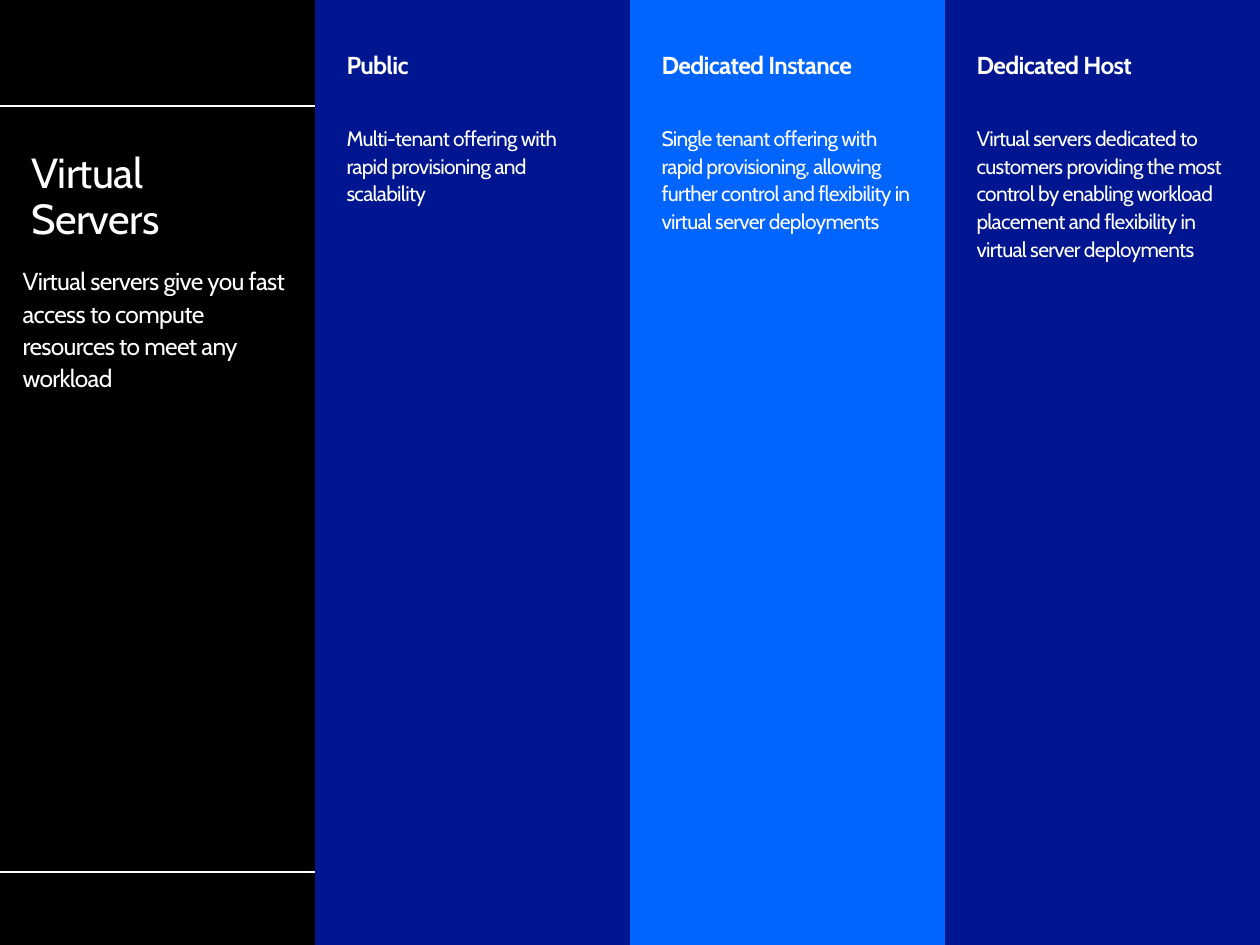
from pptx import Presentation
from pptx.dml.color import RGBColor
from pptx.enum.text import MSO_ANCHOR, MSO_AUTO_SIZE, PP_ALIGN
from pptx.oxml.ns import qn
from pptx.util import Inches, Pt

WHITE, BLACK, NAVY, BLUE = "FFFFFF", "000000", "001690", "0064FF"


def color(hex_string):
    return RGBColor.from_string(hex_string)


def format_paragraph(paragraph, size, line_spacing, bold=False, space_before=0):
    paragraph.alignment = PP_ALIGN.LEFT
    paragraph.line_spacing = line_spacing
    paragraph.space_before = Pt(space_before)
    font = paragraph.font
    font.name, font.size, font.bold = "Cabin", Pt(size), bold
    font.color.rgb = color(WHITE)
    # No bullet or indent, slightly tightened letters
    properties = paragraph._p.get_or_add_pPr()
    properties.set("marL", "0")
    properties.set("indent", "0")
    bullet = properties.makeelement(qn("a:buNone"), {})
    properties.find(qn("a:defRPr")).addprevious(bullet)
    for run in paragraph.runs:
        run._r.get_or_add_rPr().set("spc", "-40")


presentation = Presentation()
presentation.slide_width = Inches(10)
presentation.slide_height = Inches(7.5)

# The Comparison layout has a title and four body placeholders
slide = presentation.slides.add_slide(presentation.slide_layouts[4])
slide.background.fill.solid()
slide.background.fill.fore_color.rgb = color(BLACK)
title, intro, *columns = slide.placeholders

# Place every text area and set its margins
column_width = 2.5
margins = (0.25, 0.42, 0.25, 0.25)
areas = [
    (title, (0.15, 1.16, 4.5, 0.42), (0.1, 0.05, 0.1, 0.05)),
    (intro, (-0.07, 0.84, 2.6, 6.08), (0.25, 1.25, 0.25, 0.25)),
]
for number, column in enumerate(columns, start=1):
    areas.append((column, (number * column_width, 0, column_width, 7.5), margins))

for shape, box, insets in areas:
    shape.left, shape.top, shape.width, shape.height = map(Inches, box)
    frame = shape.text_frame
    frame.word_wrap = True
    frame.auto_size = MSO_AUTO_SIZE.NONE
    frame.vertical_anchor = MSO_ANCHOR.TOP
    (frame.margin_left, frame.margin_top,
     frame.margin_right, frame.margin_bottom) = map(Inches, insets)

# Title and introduction on the black panel
title.text_frame.text = "Virtual \vServers"
format_paragraph(title.text_frame.paragraphs[0], 24, 0.9)

intro.line.color.rgb = color(WHITE)
intro.line.width = Pt(0.75)
intro.text_frame.text = (
    "Virtual servers give you fast access to compute resources to meet any workload"
)
format_paragraph(intro.text_frame.paragraphs[0], 14, 1.1)

# Three server options
options = [
    ("Public", NAVY,
     "Multi-tenant offering with rapid provisioning and scalability"),
    ("Dedicated Instance", BLUE,
     "Single tenant offering with rapid provisioning, allowing further control "
     "and flexibility in virtual server deployments"),
    ("Dedicated Host", NAVY,
     "Virtual servers dedicated to customers providing the most control by enabling "
     "workload placement and flexibility in virtual server deployments"),
]
for column, (heading, fill, description) in zip(columns, options):
    column.fill.solid()
    column.fill.fore_color.rgb = color(fill)
    column.text_frame.text = f"{heading}\n{description}"
    heading_paragraph, description_paragraph = column.text_frame.paragraphs
    format_paragraph(heading_paragraph, 14, 0.9, bold=True)
    format_paragraph(description_paragraph, 12, 1.1, space_before=25)

presentation.save("out.pptx")
